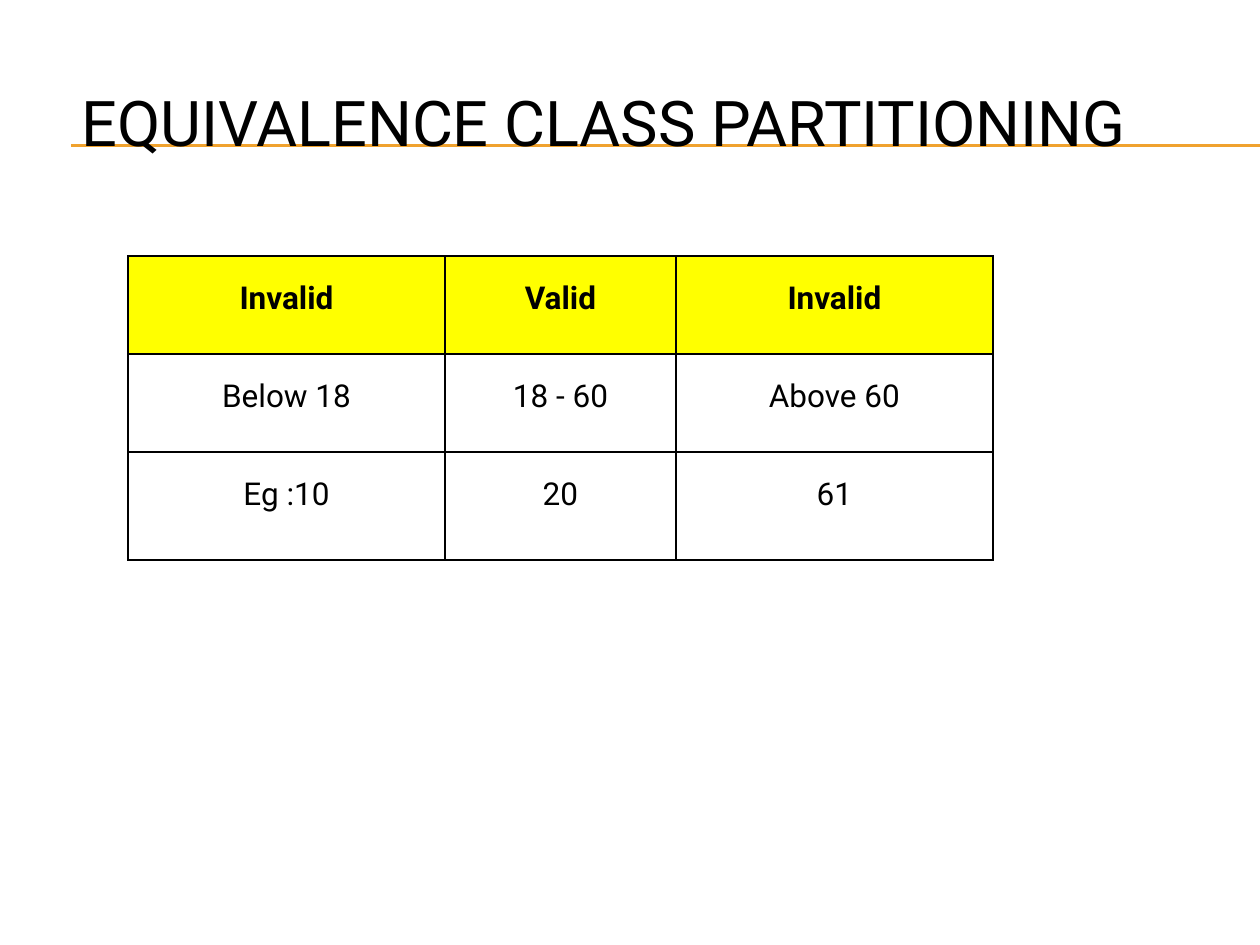
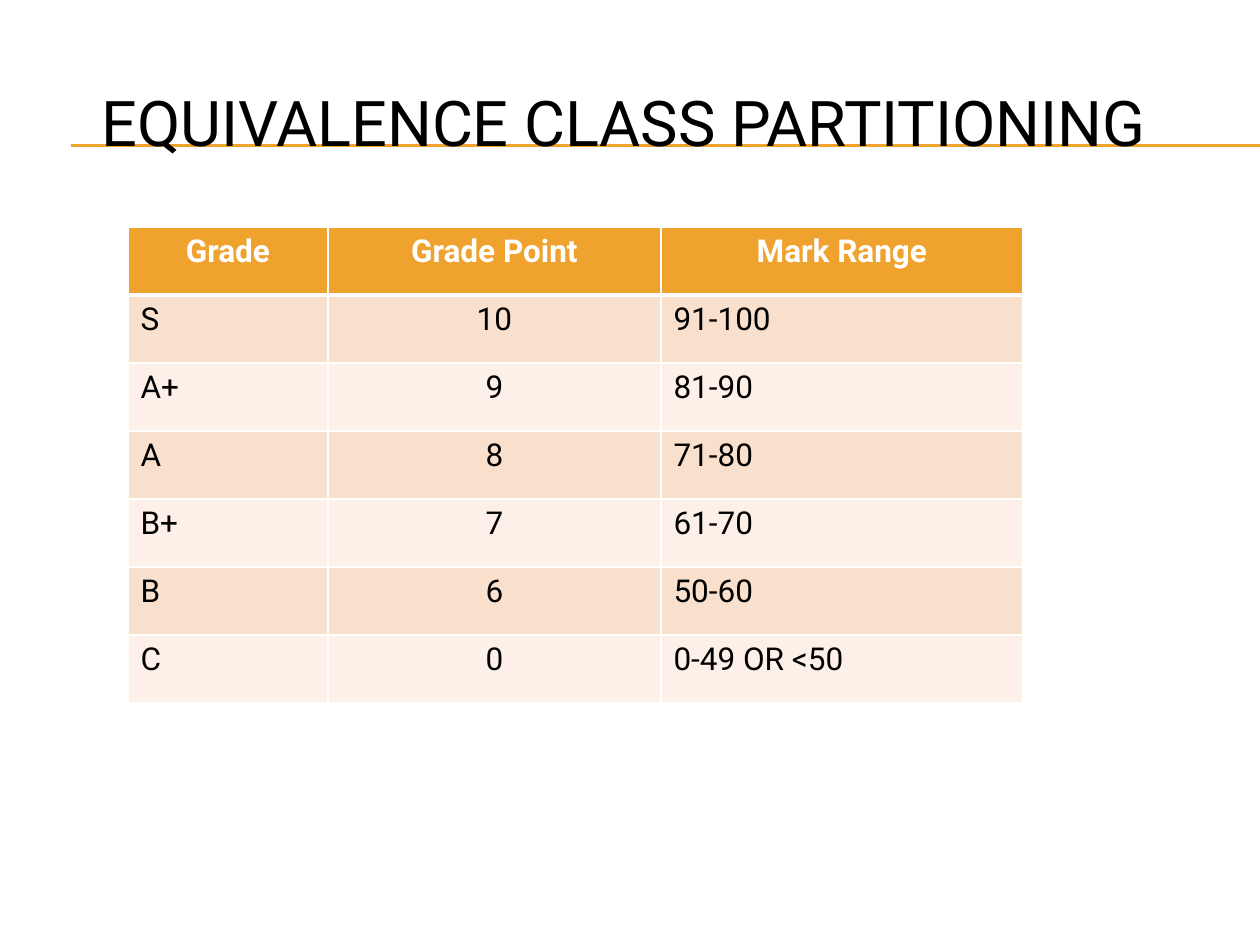
from dataclasses import dataclass

from lxml.etree import SubElement
from pptx import Presentation
from pptx.dml.color import RGBColor
from pptx.enum.shapes import MSO_CONNECTOR
from pptx.enum.text import MSO_ANCHOR, MSO_AUTO_SIZE, PP_ALIGN
from pptx.oxml.ns import qn
from pptx.slide import Slide
from pptx.table import _Cell
from pptx.util import Emu, Pt

PX_PER_INCH = 126
SLIDE_W, SLIDE_H = 1260, 945
TITLE_RIGHT, TITLE_TOP, TITLE_H = 1239, 63, 116
RULE_LEFT, RULE_YS = 71, (145, 146)
TABLE_LEFT = 128
FONT = "Roboto"
TITLE = "EQUIVALENCE CLASS PARTITIONING"
COLORS = {
    "black": "000000",
    "white": "FFFFFF",
    "yellow": "FFFF00",
    "orange": "F0A22E",
    "peach": "F9E0CD",
    "cream": "FCF0E8",
}
LEFT, CENTER = PP_ALIGN.LEFT, PP_ALIGN.CENTER


@dataclass
class TableSlide:
    title_left: int
    table_top: int
    col_widths: list[int]
    row_heights: list[int]
    rows: list[list[str]]
    body_aligns: list[PP_ALIGN]
    header_fill: str
    header_color: str
    body_fills: list[str | None]  # repeated down the body rows
    border_color: str
    header_rule_pt: int = 1
    line_spacing: float = 1.0


SLIDES = [
    TableSlide(
        title_left=69, table_top=256,
        col_widths=[317, 231, 317], row_heights=[98, 98, 108],
        rows=[
            ["Invalid", "Valid", "Invalid"],
            ["Below 18", "18 - 60", "Above 60"],
            ["Eg :10", "20", "61"],
        ],
        body_aligns=[CENTER, CENTER, CENTER],
        header_fill="yellow", header_color="black", body_fills=[None],
        border_color="black", line_spacing=1.5,
    ),
    TableSlide(
        title_left=89, table_top=227,
        col_widths=[200, 333, 362], row_heights=[68] * 7,
        rows=[
            ["Grade", "Grade Point", "Mark Range"],
            ["S", "10", "91-100"],
            ["A+", "9", "81-90"],
            ["A", "8", "71-80"],
            ["B+", "7", "61-70"],
            ["B", "6", "50-60"],
            ["C", "0", "0-49 OR <50"],
        ],
        body_aligns=[LEFT, CENTER, LEFT],
        header_fill="orange", header_color="white", body_fills=["peach", "cream"],
        border_color="white", header_rule_pt=3,
    ),
]


def px(n: int) -> Emu:
    return Emu(round(n * 914400 / PX_PER_INCH))


def rgb(name: str) -> RGBColor:
    return RGBColor.from_string(COLORS[name])


def set_attrs(obj: object, values: dict) -> None:
    for name, value in values.items():
        setattr(obj, name, value)


def write(tf, text: str, size: int, color: str, bold: bool = False,
          align: PP_ALIGN = LEFT, spacing: float = 1.0) -> None:
    p = tf.paragraphs[0]
    set_attrs(p, {"alignment": align, "line_spacing": spacing})
    r = p.add_run()
    r.text = text
    set_attrs(r.font, {"name": FONT, "size": Pt(size), "bold": bold})
    r.font.color.rgb = rgb(color)


def add_rules(s: Slide) -> None:
    """Draw the double rule behind the title."""
    for y in RULE_YS:
        line = s.shapes.add_connector(
            MSO_CONNECTOR.STRAIGHT, px(RULE_LEFT), px(y), px(SLIDE_W), px(y))
        line.line.color.rgb = rgb("orange")
        line.line.width = Pt(0.75)
        SubElement(line.element.spPr, qn("a:effectLst"))
        s.shapes.title.element.addprevious(line.element)


def add_title(s: Slide, left: int) -> None:
    title = s.shapes.title
    set_attrs(title, {"left": px(left), "top": px(TITLE_TOP),
                      "width": px(TITLE_RIGHT - left), "height": px(TITLE_H)})
    tf = title.text_frame
    set_attrs(tf, {"vertical_anchor": MSO_ANCHOR.MIDDLE, "word_wrap": True,
                   "auto_size": MSO_AUTO_SIZE.NONE})
    write(tf, TITLE, 36, "black")


def set_borders(cell: _Cell, color: str, top_pt: int, bottom_pt: int) -> None:
    tcPr = cell._tc.get_or_add_tcPr()
    for side, width in {"L": 1, "R": 1, "T": top_pt, "B": bottom_pt}.items():
        ln = SubElement(tcPr, qn(f"a:ln{side}"), w=str(Pt(width)))
        fill = SubElement(ln, qn("a:solidFill"))
        SubElement(fill, qn("a:srgbClr"), val=COLORS[color])


def set_fill(cell: _Cell, color: str | None) -> None:
    if color is None:
        cell.fill.background()
    else:
        cell.fill.solid()
        cell.fill.fore_color.rgb = rgb(color)


def add_grid(s: Slide, spec_: TableSlide) -> None:
    table = s.shapes.add_table(
        len(spec_.rows), len(spec_.col_widths), px(TABLE_LEFT), px(spec_.table_top),
        px(sum(spec_.col_widths)), px(sum(spec_.row_heights))).table
    set_attrs(table, {"first_row": False, "horz_banding": False})
    for column, width in zip(table.columns, spec_.col_widths):
        column.width = px(width)
    for row, height in zip(table.rows, spec_.row_heights):
        row.height = px(height)

    for i, texts in enumerate(spec_.rows):
        header = i == 0
        fill = (spec_.header_fill if header
                else spec_.body_fills[(i - 1) % len(spec_.body_fills)])
        color = spec_.header_color if header else "black"
        for j, text in enumerate(texts):
            cell = table.cell(i, j)
            set_borders(cell, spec_.border_color,
                        top_pt=spec_.header_rule_pt if i == 1 else 1,
                        bottom_pt=spec_.header_rule_pt if header else 1)
            set_fill(cell, fill)
            write(cell.text_frame, text, 18, color, bold=header,
                  align=CENTER if header else spec_.body_aligns[j],
                  spacing=spec_.line_spacing)


def main() -> None:
    prs = Presentation()
    set_attrs(prs, {"slide_width": px(SLIDE_W), "slide_height": px(SLIDE_H)})
    title_only = prs.slide_layouts[5]
    for table_slide in SLIDES:
        s = prs.slides.add_slide(title_only)
        add_rules(s)
        add_title(s, table_slide.title_left)
        add_grid(s, table_slide)
    prs.save("out.pptx")


if __name__ == "__main__":
    main()
